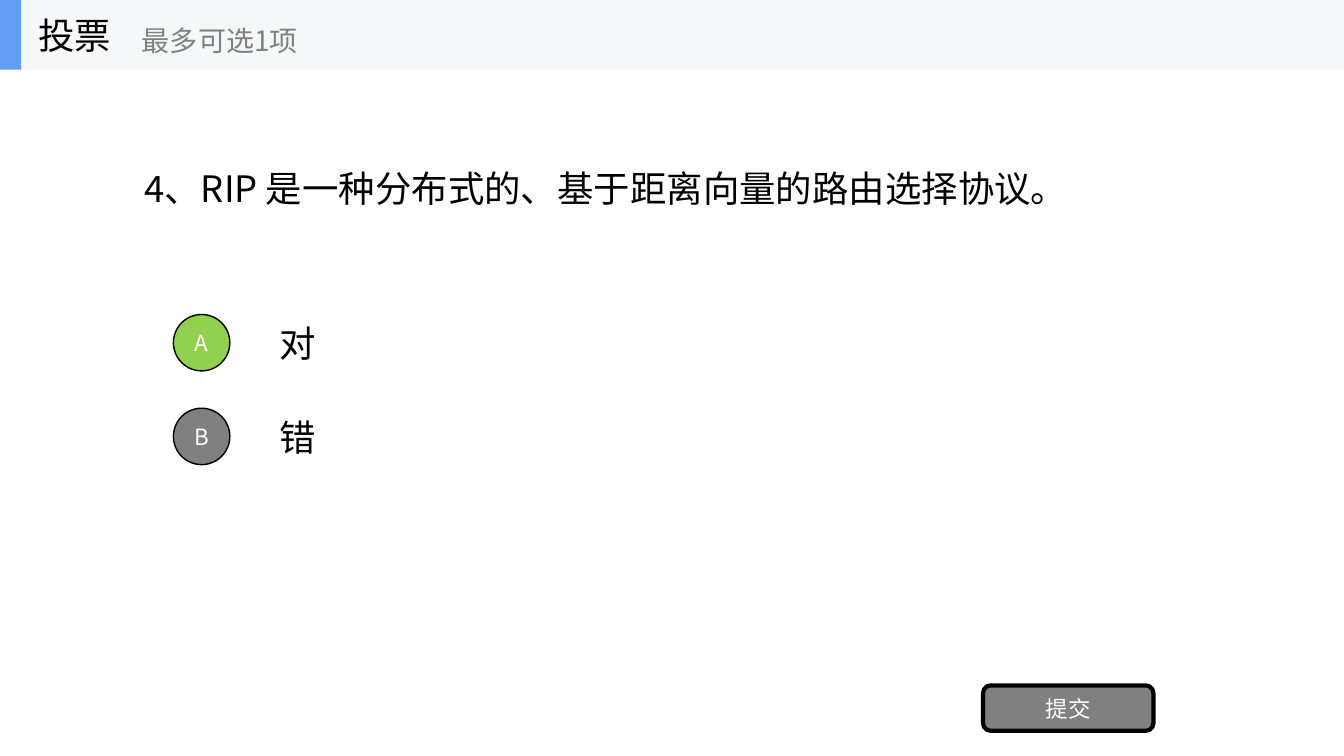
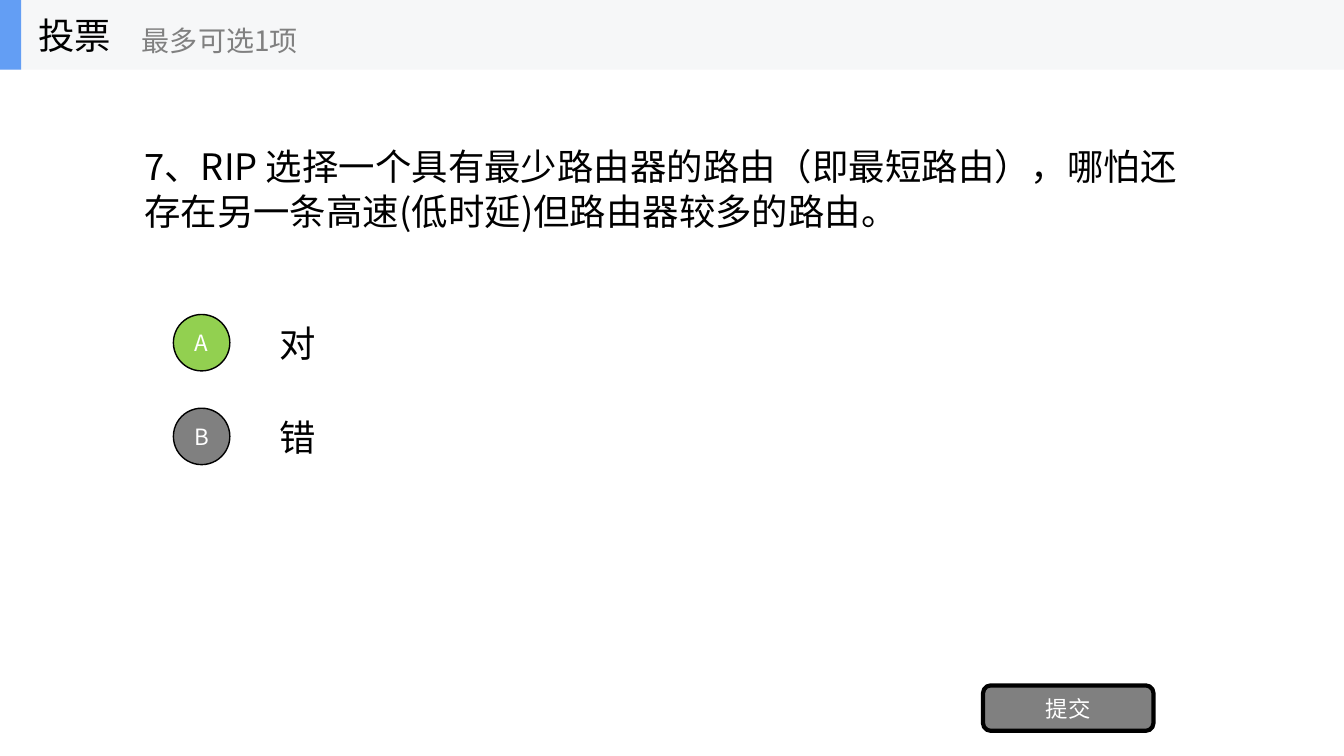
from dataclasses import dataclass

from lxml.etree import SubElement
from pptx import Presentation
from pptx.dml.color import RGBColor
from pptx.enum.shapes import MSO_SHAPE as Preset
from pptx.enum.text import MSO_ANCHOR as Anchor, MSO_AUTO_SIZE as AutoSize, PP_ALIGN as Align
from pptx.oxml.ns import qn
from pptx.util import Inches, Pt

FONT = "Noto Sans CJK SC"
COLORS = {
    "band": "F6F7F8",
    "accent": "639EF4",
    "text": "000000",
    "muted": "808080",
    "selected": "92D050",
    "white": "FFFFFF",
}
SLIDE_WIDTH, SLIDE_HEIGHT = 13.33, 7.5
BAND_HEIGHT = 0.69
OPTION_TOP, OPTION_PITCH, OPTION_HEIGHT = 3.05, 0.93, 0.7
BADGE_SIZE = 0.56
TEXT_SIZE, LINE_HEIGHT = 26, 32


@dataclass(frozen=True)
class Box:
    left: float
    top: float
    width: float
    height: float

    def lengths(self) -> tuple:
        return tuple(map(Inches, (self.left, self.top, self.width, self.height)))


@dataclass(frozen=True)
class Option:
    letter: str
    text: str
    color: str


@dataclass(frozen=True)
class Poll:
    question: str
    options: tuple[Option, ...]


TRUE_FALSE = (Option("A", "对", "selected"), Option("B", "错", "muted"))
POLLS = (
    Poll("4、RIP 是一种分布式的、基于距离向量的路由选择协议。", TRUE_FALSE),
    Poll("7、RIP 选择一个具有最少路由器的路由（即最短路由），哪怕还存在另一条高速(低时延)但路由器较多的路由。",
         TRUE_FALSE),
)


def rgb(color: str) -> RGBColor:
    return RGBColor.from_string(COLORS[color])


def style_paragraph(paragraph, size: float, color: str, align=Align.LEFT) -> None:
    paragraph.alignment = align
    font = paragraph.font
    font.name, font.size = FONT, Pt(size)
    font.color.rgb = rgb(color)
    properties = paragraph._p.pPr.find(qn("a:defRPr"))
    SubElement(properties, qn("a:ea")).set("typeface", FONT)


def set_text(shape, text: str, size: float, color: str, align=Align.LEFT) -> None:
    frame = shape.text_frame
    frame.word_wrap = True
    frame.auto_size = AutoSize.NONE
    frame.vertical_anchor = Anchor.MIDDLE
    frame.text = text
    for paragraph in frame.paragraphs:
        style_paragraph(paragraph, size, color, align)


def add_label(shapes, box: Box, text: str, size: float, color: str) -> None:
    set_text(shapes.add_textbox(*box.lengths()), text, size, color)


def add_block(shapes, preset, box: Box, fill: str, line_width: float = 0, text: str = ""):
    """Add a filled shape, outlined in black and captioned in white if asked."""
    shape = shapes.add_shape(preset, *box.lengths())
    shape.shadow.inherit = False
    shape.fill.solid()
    shape.fill.fore_color.rgb = rgb(fill)
    if line_width:
        shape.line.color.rgb = rgb("text")
        shape.line.width = Pt(line_width)
    else:
        shape.line.fill.background()
    if text:
        set_text(shape, text, 16, "white", Align.CENTER)


def place(placeholder, box: Box) -> None:
    placeholder.left, placeholder.top, placeholder.width, placeholder.height = box.lengths()


def add_header(slide) -> None:
    shapes = slide.shapes.add_group_shape().shapes
    add_block(shapes, Preset.RECTANGLE, Box(0, 0, SLIDE_WIDTH, BAND_HEIGHT), "band")
    add_block(shapes, Preset.RECTANGLE, Box(0, 0, 0.21, BAND_HEIGHT), "accent")
    add_label(shapes, Box(0.28, 0, 2.08, BAND_HEIGHT), "投票", TEXT_SIZE, "text")
    add_label(shapes, Box(1.31, 0.12, 2.5, 0.56), "最多可选1项", 20, "muted")


def add_question(slide, question: str) -> None:
    title = slide.shapes.title
    place(title, Box(1.33, BAND_HEIGHT, 10.67, 2.34))
    set_text(title, question, TEXT_SIZE, "text")
    title.text_frame.paragraphs[0].line_spacing = Pt(LINE_HEIGHT)


def add_options(slide, options: tuple[Option, ...]) -> None:
    body = slide.placeholders[1]
    height = OPTION_PITCH * (len(options) - 1) + OPTION_HEIGHT
    place(body, Box(2.67, OPTION_TOP, 9.33, height))
    frame = body.text_frame
    frame.text = "\n".join(option.text for option in options)
    for index, paragraph in enumerate(frame.paragraphs):
        properties = paragraph._p.get_or_add_pPr()
        properties.set("marL", "0")
        properties.set("indent", "0")
        SubElement(properties, qn("a:buNone"))
        paragraph.line_spacing = Pt(LINE_HEIGHT)
        paragraph.space_before = Pt(OPTION_PITCH * 72 - LINE_HEIGHT if index else 0)
        style_paragraph(paragraph, TEXT_SIZE, "text")
    frame.word_wrap = True
    frame.auto_size = AutoSize.NONE
    frame.vertical_anchor = Anchor.MIDDLE

    inset = (OPTION_HEIGHT - BADGE_SIZE) / 2
    for index, option in enumerate(options):
        top = OPTION_TOP + inset + index * OPTION_PITCH
        add_block(slide.shapes, Preset.OVAL, Box(1.72, top, BADGE_SIZE, BADGE_SIZE),
                  option.color, 1, option.letter)


def add_poll(presentation, poll: Poll) -> None:
    slide = presentation.slides.add_slide(presentation.slide_layouts[1])
    add_question(slide, poll.question)
    add_options(slide, poll.options)
    add_block(slide.shapes, Preset.ROUNDED_RECTANGLE, Box(9.75, 6.8, 1.69, 0.45),
              "muted", 3, "提交")
    add_header(slide)


def main() -> None:
    presentation = Presentation()
    presentation.slide_width = Inches(SLIDE_WIDTH)
    presentation.slide_height = Inches(SLIDE_HEIGHT)
    for poll in POLLS:
        add_poll(presentation, poll)
    presentation.save("out.pptx")


if __name__ == "__main__":
    main()
